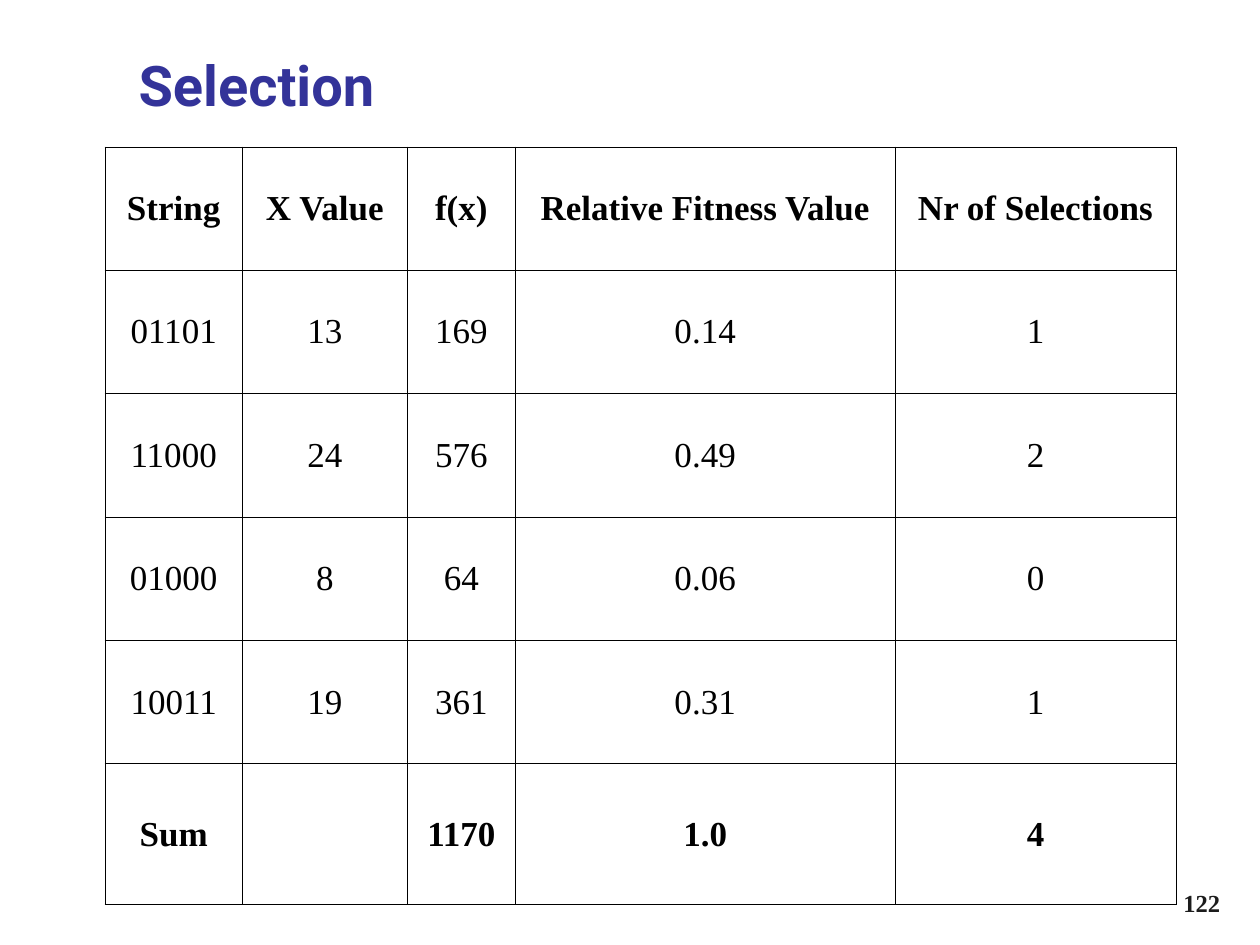
from pptx import Presentation
from pptx.dml.color import RGBColor
from pptx.enum.text import MSO_ANCHOR as Anchor, MSO_AUTO_SIZE as Fit, PP_ALIGN as Align
from pptx.oxml import parse_xml
from pptx.oxml.ns import nsdecls
from pptx.util import Pt

TITLE = dict(name="Roboto", size=Pt(32), bold=True, color="333399")
NUMBER = dict(name="Times New Roman", size=Pt(14), bold=True, color="1C1C1C")
CELL = dict(name="Times New Roman", size=Pt(20), bold=False, color="000000")
STRONG = {**CELL, "bold": True}

ROWS = [
    ["String", "X Value", "f(x)", "Relative Fitness Value", "Nr of Selections"],
    ["01101", "13", "169", "0.14", "1"],
    ["11000", "24", "576", "0.49", "2"],
    ["01000", "8", "64", "0.06", "0"],
    ["10011", "19", "361", "0.31", "1"],
    ["Sum", "", "1170", "1.0", "4"],
]
WIDTHS = [78.5, 94.3, 61.7, 217, 160.5]
HEIGHTS = [70.5] * 5 + [80.5]


def paint(hue):
    return RGBColor.from_string(hue)


class Page:
    def __init__(self, slide, line="000000", weight=0.45):
        self.slide, self.line, self.weight = slide, line, weight

    def label(self, frame, text, style, align):
        para = frame.paragraphs[0]
        para.alignment = align
        run = para.add_run()
        run.text = text
        for key, value in style.items():
            if key == "color":
                run.font.color.rgb = paint(value)
            else:
                setattr(run.font, key, value)

    def title(self, text, left, top, width, height):
        shape = self.slide.shapes.title
        box = dict(left=left, top=top, width=width, height=height)
        for key, value in box.items():
            setattr(shape, key, Pt(value))
        frame = shape.text_frame
        frame.auto_size, frame.vertical_anchor = Fit.NONE, Anchor.MIDDLE
        self.label(frame, text, TITLE, Align.LEFT)

    def number(self, text, *box):
        frame = self.slide.shapes.add_textbox(*map(Pt, box)).text_frame
        frame.word_wrap, frame.vertical_anchor = True, Anchor.BOTTOM
        self.label(frame, text, NUMBER, Align.RIGHT)

    def border(self, cell):
        props = cell._tc.get_or_add_tcPr()
        for side in ("lnL", "lnR", "lnT", "lnB"):
            props.append(parse_xml(
                f'<a:{side} {nsdecls("a")} w="{Pt(self.weight)}"><a:solidFill>'
                f'<a:srgbClr val="{self.line}"/></a:solidFill></a:{side}>'))

    def table(self, left, top):
        box = map(Pt, (left, top, sum(WIDTHS), sum(HEIGHTS)))
        grid = self.slide.shapes.add_table(len(ROWS), len(WIDTHS), *box).table
        grid.first_row = grid.horz_banding = False
        for col, width in zip(grid.columns, WIDTHS):
            col.width = Pt(width)
        for i, (row, height) in enumerate(zip(grid.rows, HEIGHTS)):
            row.height = Pt(height)
            style = STRONG if i in (0, len(ROWS) - 1) else CELL
            for cell, text in zip(row.cells, ROWS[i]):
                cell.vertical_anchor = Anchor.MIDDLE
                self.border(cell)
                cell.fill.background()
                if text:
                    self.label(cell.text_frame, text, style, Align.CENTER)


def main():
    deck = Presentation()
    deck.slide_width, deck.slide_height = Pt(720), Pt(540)
    page = Page(deck.slides.add_slide(deck.slide_layouts[5]))
    page.number("122", 554.4, 492, 150, 36)
    page.title("Selection", 72, 24, 612, 48)
    page.table(60, 84)
    deck.save("out.pptx")


if __name__ == "__main__":
    main()
